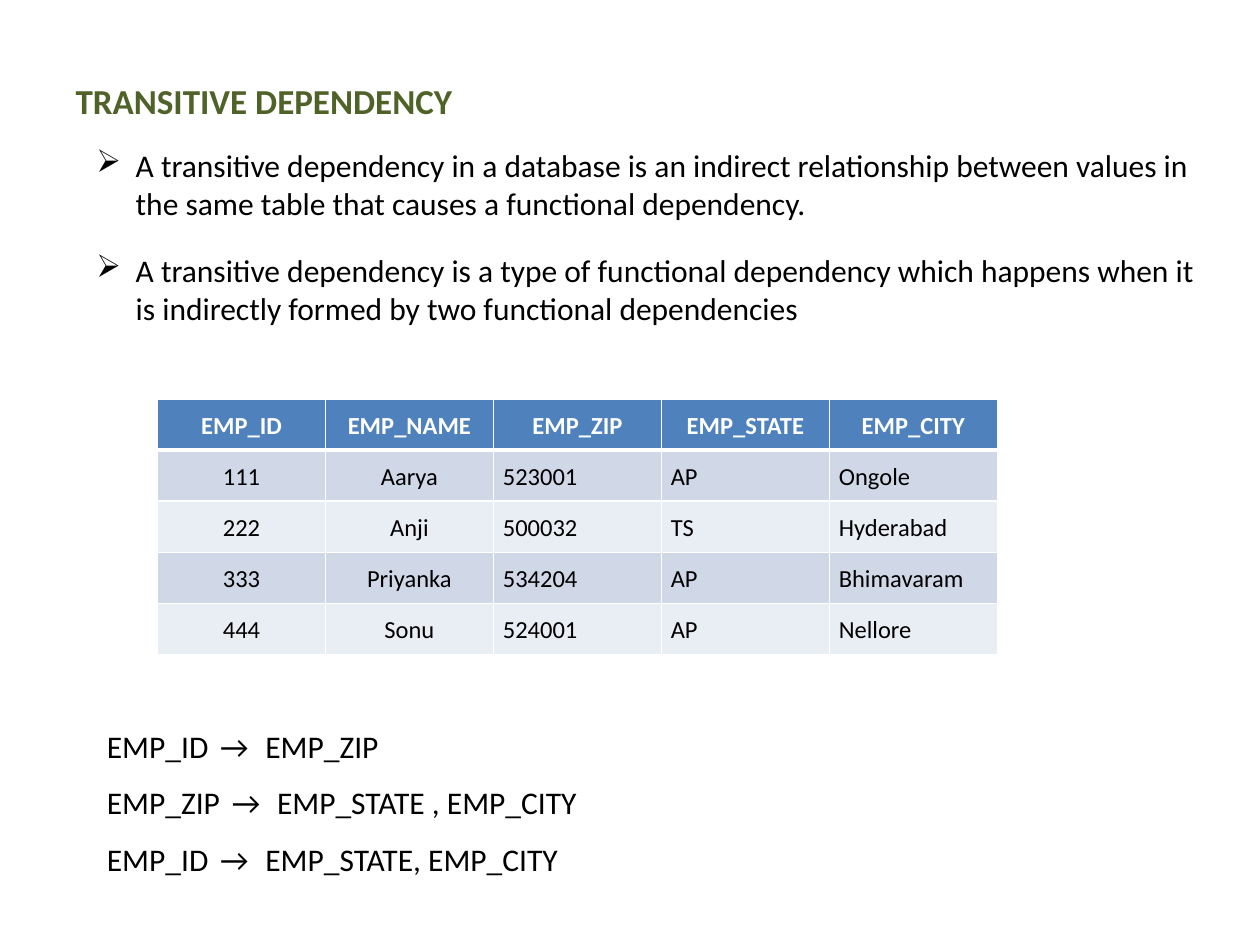
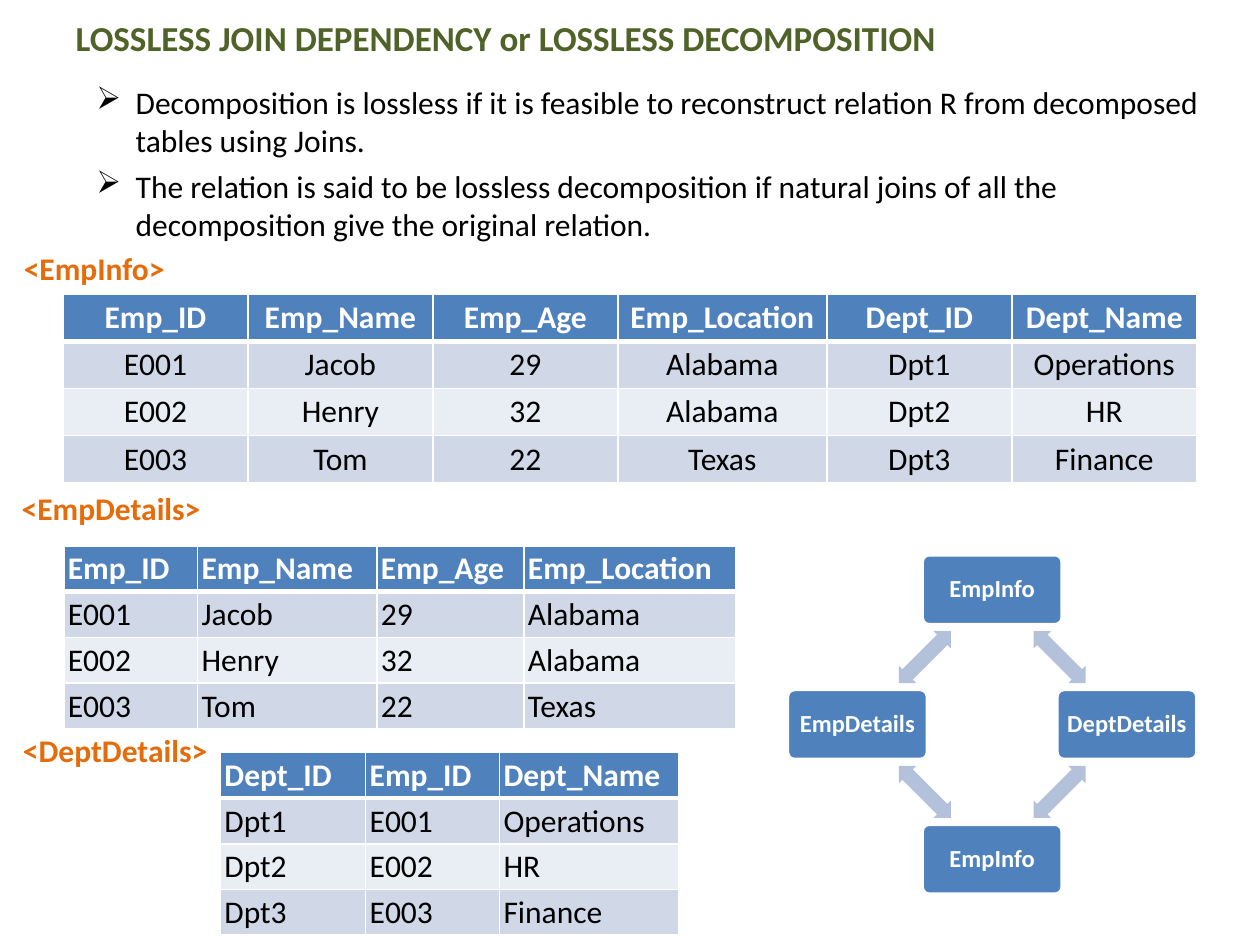
from dataclasses import dataclass
from typing import NamedTuple

from lxml import etree
from pptx import Presentation
from pptx.dml.color import RGBColor
from pptx.enum.shapes import MSO_SHAPE
from pptx.enum.text import MSO_ANCHOR, MSO_AUTO_SIZE, PP_ALIGN
from pptx.oxml.ns import qn
from pptx.util import Pt

LEFT, CENTER = PP_ALIGN.LEFT, PP_ALIGN.CENTER
TOP, MIDDLE = MSO_ANCHOR.TOP, MSO_ANCHOR.MIDDLE
FIT_SHAPE, NO_FIT = MSO_AUTO_SIZE.SHAPE_TO_FIT_TEXT, MSO_AUTO_SIZE.NONE
ROUNDED, DOUBLE_ARROW = MSO_SHAPE.ROUNDED_RECTANGLE, MSO_SHAPE.LEFT_RIGHT_ARROW
TITLE_ONLY = 5


@dataclass(frozen=True)
class Theme:
    font: str = "Calibri"
    title: str = "4F6228"
    label: str = "E46C0A"
    text: str = "000000"
    white: str = "FFFFFF"
    accent: str = "4F81BD"
    arrow: str = "B3C1DB"
    bands: tuple = ("D0D8E8", "E9EDF4")
    title_size: int = 20
    body_size: int = 18
    small_size: int = 14


THEME = Theme()


class Box(NamedTuple):
    left: float
    top: float
    width: float
    height: float

    def lengths(self):
        return [Pt(value) for value in self]


def set_values(target, values):
    for name, value in values.items():
        setattr(target, name, value)


def add_span(para, text, size, color, bold=False):
    span = para.add_run()
    span.text = text
    set_values(span.font, {"name": THEME.font, "size": Pt(size), "bold": bold})
    span.font.color.rgb = RGBColor.from_string(color)
    return span


def paint(shape, color):
    shape.fill.solid()
    shape.fill.fore_color.rgb = RGBColor.from_string(color)


def add_text_box(page, box, **frame_format):
    frame = page.shapes.add_textbox(*box.lengths()).text_frame
    set_values(frame, {"word_wrap": True, **frame_format})
    return frame


def add_titled_page(deck, title, box):
    page = deck.slides.add_slide(deck.slide_layouts[TITLE_ONLY])
    holder = page.shapes.title
    set_values(holder, dict(zip(box._fields, box.lengths())))
    frame = holder.text_frame
    set_values(frame, {"word_wrap": False, "auto_size": FIT_SHAPE,
                       "vertical_anchor": TOP})
    para = frame.paragraphs[0]
    para.alignment = LEFT
    add_span(para, title, THEME.title_size, THEME.title, bold=True)
    return page


def add_bullets(page, box, step, texts):
    """Place one bullet box per text, each a step below the last."""
    for index, text in enumerate(texts):
        place = box._replace(top=box.top + index * step)
        para = add_text_box(page, place, vertical_anchor=MIDDLE).paragraphs[0]
        add_span(para, text, THEME.body_size, THEME.text)
        props = para._p.get_or_add_pPr()
        props.set("marL", str(Pt(22.5)))
        props.set("indent", str(-Pt(22.5)))
        etree.SubElement(props, qn("a:buChar"), char="➢")


def add_label(page, box, text):
    frame = add_text_box(page, box, word_wrap=False, auto_size=FIT_SHAPE)
    add_span(frame.paragraphs[0], text, THEME.body_size, THEME.label, bold=True)


def add_dependencies(page, box, pairs):
    frame = add_text_box(page, box, vertical_anchor=MIDDLE)
    for index, (source, target) in enumerate(pairs):
        para = frame.add_paragraph() if index else frame.paragraphs[0]
        para.line_spacing = 1.5
        for text in (source, " → ", target):
            span = add_span(para, text, THEME.body_size, THEME.text)
            if text == " → ":
                span.font._element.set("spc", "270")


def set_borders(cell, row):
    """Draw white edges, with a thick one between header and body."""
    props = cell._tc.get_or_add_tcPr()
    widths = {"lnL": 1, "lnR": 1, "lnT": 3 if row == 1 else 1,
              "lnB": 3 if row == 0 else 1}
    for edge, width in widths.items():
        line = etree.SubElement(props, qn(f"a:{edge}"), w=str(Pt(width)))
        fill = etree.SubElement(line, qn("a:solidFill"))
        etree.SubElement(fill, qn("a:srgbClr"), val=THEME.white)


def add_data_table(page, left, top, columns, row_height, rows, size=THEME.body_size,
                   aligns=None, padding=(2.25, 2.25), anchor=TOP, spacing=None):
    """Place a table; aligns holds the body alignment of each column."""
    box = Box(left, top, sum(columns), row_height * len(rows))
    table = page.shapes.add_table(len(rows), len(columns), *box.lengths()).table
    aligns = aligns or [LEFT] * len(columns)
    side, edge = map(Pt, padding)
    for column, width in zip(table.columns, columns):
        column.width = Pt(width)
    for row, values in enumerate(rows):
        table.rows[row].height = Pt(row_height)
        header = row == 0
        for column, value in enumerate(values):
            cell = table.cell(row, column)
            set_values(cell, {"margin_left": side, "margin_right": side,
                              "margin_top": edge, "margin_bottom": edge,
                              "vertical_anchor": anchor})
            set_borders(cell, row)
            paint(cell, THEME.accent if header else THEME.bands[(row - 1) % 2])
            para = cell.text_frame.paragraphs[0]
            set_values(para, {"alignment": aligns[0 if header else column],
                              "line_spacing": spacing})
            add_span(para, value, size, THEME.white if header else THEME.text, header)


def add_centered_shape(page, kind, x, y, width, height, color, adjustments):
    box = Box(x - width / 2, y - height / 2, width, height)
    shape = page.shapes.add_shape(kind, *box.lengths())
    shape.shadow.inherit = False
    paint(shape, color)
    for index, value in enumerate(adjustments):
        shape.adjustments[index] = value
    return shape


def add_cycle(page, box, names):
    """Place four nodes clockwise from the top, with double arrows between."""
    node_width, node_height = 80, 40
    center_x, center_y = box.left + box.width / 2, box.top + box.height / 2
    radius = (box.width - node_width) / 2
    directions = [(0, -1), (1, 0), (0, 1), (-1, 0)]
    for index, (name, (dx, dy)) in enumerate(zip(names, directions)):
        node = add_centered_shape(page, ROUNDED, center_x + dx * radius,
                                  center_y + dy * radius, node_width, node_height,
                                  THEME.accent, [0.1])
        node.line.color.rgb = RGBColor.from_string(THEME.white)
        node.line.width = Pt(2)
        frame = node.text_frame
        set_values(frame, {"margin_left": Pt(4), "margin_right": Pt(4),
                           "word_wrap": True, "auto_size": NO_FIT,
                           "vertical_anchor": MIDDLE})
        para = frame.paragraphs[0]
        set_values(para, {"alignment": CENTER, "line_spacing": 0.9})
        add_span(para, name, THEME.small_size, THEME.white, bold=True)

        next_dx, next_dy = directions[(index + 1) % 4]
        arrow = add_centered_shape(page, DOUBLE_ARROW,
                                   center_x + (dx + next_dx) * radius / 2,
                                   center_y + (dy + next_dy) * radius / 2,
                                   42, 14, THEME.arrow, [0.6, 0.5])
        arrow.rotation = 45 + 90 * index
        arrow.line.fill.background()


def add_transitive_page(deck):
    page = add_titled_page(deck, "TRANSITIVE DEPENDENCY", Box(36, 42, 232, 31.5))
    add_bullets(page, Box(48, 60, 648, 90), 60, [
        "A transitive dependency in a database is an indirect relationship between "
        "values in the same table that causes a functional dependency.",
        "A transitive dependency is a type of functional dependency which happens "
        "when it is indirectly formed by two functional dependencies",
    ])
    add_data_table(page, 90, 228, [96] * 5, 29.2, [
        ("EMP_ID", "EMP_NAME", "EMP_ZIP", "EMP_STATE", "EMP_CITY"),
        ("111", "Aarya", "523001", "AP", "Ongole"),
        ("222", "Anji", "500032", "TS", "Hyderabad"),
        ("333", "Priyanka", "534204", "AP", "Bhimavaram"),
        ("444", "Sonu", "524001", "AP", "Nellore"),
    ], THEME.small_size, [CENTER] * 2 + [LEFT] * 3, (5.4, 0), MIDDLE, 1.07)
    add_dependencies(page, Box(54, 408, 648, 90), [
        ("EMP_ID", "EMP_ZIP"),
        ("EMP_ZIP", "EMP_STATE , EMP_CITY"),
        ("EMP_ID", "EMP_STATE, EMP_CITY"),
    ])


def add_lossless_page(deck):
    page = add_titled_page(deck, "LOSSLESS JOIN DEPENDENCY or LOSSLESS DECOMPOSITION",
                           Box(36, 6, 510.5, 31.5))
    add_bullets(page, Box(48, 24, 648, 90), 48, [
        "Decomposition is lossless if it is feasible to reconstruct relation R from "
        "decomposed tables using Joins.",
        "The relation is said to be lossless decomposition if natural joins of all "
        "the decomposition give the original relation.",
    ])
    employees = [
        ("Emp_ID", "Emp_Name", "Emp_Age", "Emp_Location"),
        ("E001", "Jacob", "29", "Alabama"),
        ("E002", "Henry", "32", "Alabama"),
        ("E003", "Tom", "22", "Texas"),
    ]
    departments = [("Dept_ID", "Dept_Name"), ("Dpt1", "Operations"),
                   ("Dpt2", "HR"), ("Dpt3", "Finance")]
    pairs = list(zip(employees, departments))
    add_data_table(page, 36, 168, [105.7] * 3 + [119.5] + [105.7] * 2, 27,
                   [employee + department for employee, department in pairs],
                   aligns=[CENTER] * 6, anchor=MIDDLE)
    add_data_table(page, 36.5, 312, [76.5, 102.5, 84, 121], 26, employees)
    add_data_table(page, 126, 430, [83, 76.5, 102.5], 26,
                   [(department[0], employee[0], department[1])
                    for employee, department in pairs])
    add_label(page, Box(6.5, 139, 95.5, 29), "<EmpInfo>")
    add_label(page, Box(5.3, 276, 117, 29), "<EmpDetails>")
    add_label(page, Box(6, 414, 121, 29), "<DeptDetails>")
    add_cycle(page, Box(450, 297, 234, 234),
              ["EmpInfo", "DeptDetails", "EmpInfo", "EmpDetails"])


def main():
    deck = Presentation()
    deck.slide_width, deck.slide_height = Pt(720), Pt(540)
    add_transitive_page(deck)
    add_lossless_page(deck)
    deck.save("out.pptx")


if __name__ == "__main__":
    main()
